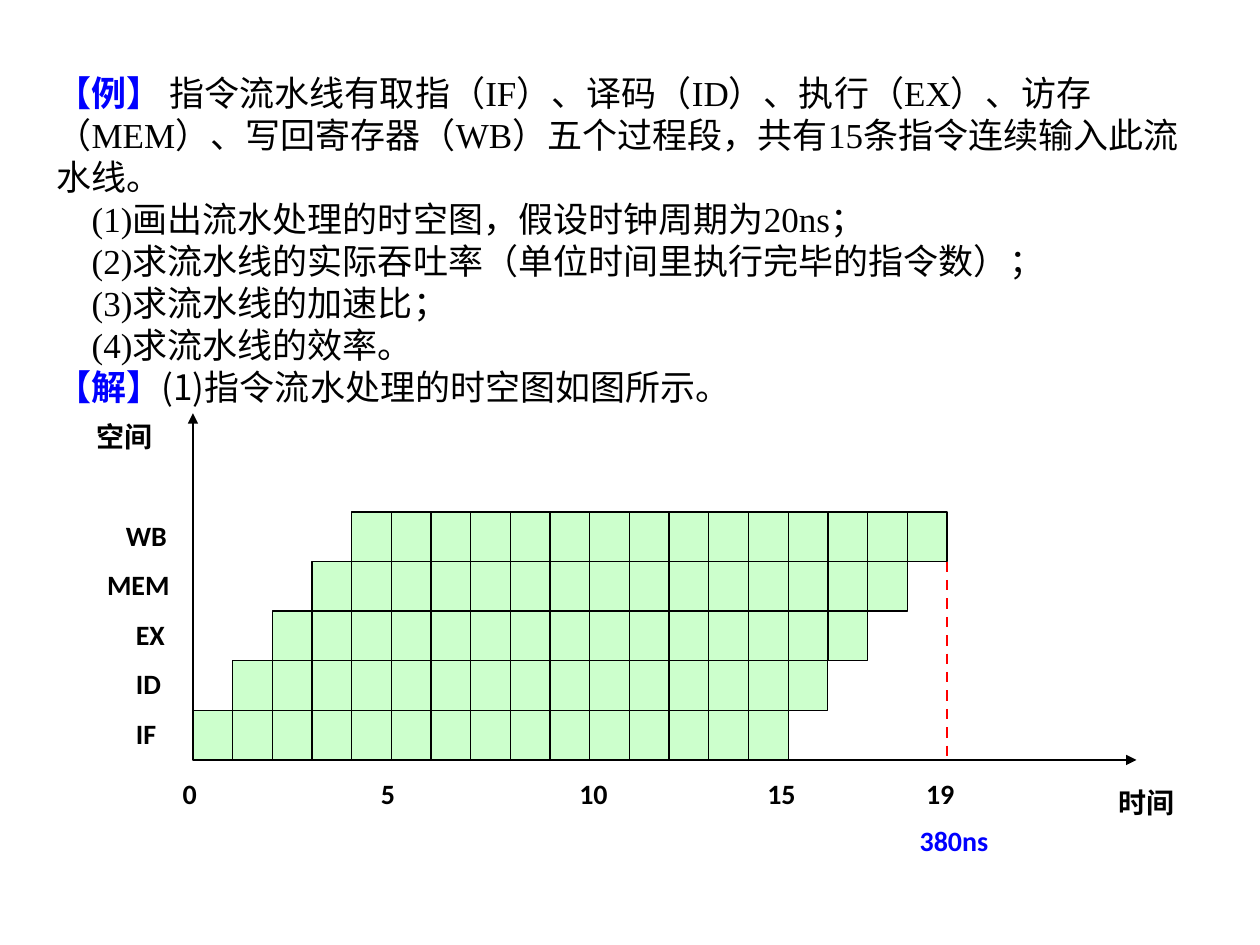
from dataclasses import dataclass

from lxml import etree
from pptx import Presentation
from pptx import util as u
from pptx.dml import color
from pptx.enum import dml, shapes, text
from pptx.oxml import ns


@dataclass(frozen=True)
class Theme:
    ink: str = "000000"
    accent: str = "0000FF"
    cell: str = "CCFFCC"
    marker: str = "FF0000"
    body_font: str = "Times New Roman"
    label_font: str = "Calibri"
    chinese_font: str = "Noto Sans CJK SC"
    body_size: int = 20
    label_size: int = 16


theme = Theme()
Cm = u.Cm


def add_text(page, place, paragraphs, size, line_spacing=None):
    box = page.shapes.add_textbox(*[Cm(value) for value in place])
    frame = box.text_frame
    frame.word_wrap = True
    frame.auto_size = text.MSO_AUTO_SIZE.SHAPE_TO_FIT_TEXT
    for index, (indent, gap, spans) in enumerate(paragraphs):
        para = frame.add_paragraph() if index else frame.paragraphs[0]
        layout = {"space_before": u.Pt(gap), "line_spacing": line_spacing}
        for name, value in layout.items():
            setattr(para, name, value)
        para._p.get_or_add_pPr().set("marL", str(Cm(indent)))
        for words, font, bold, ink in spans:
            span = para.add_run()
            span.text = words
            for name, value in {"name": font, "size": u.Pt(size), "bold": bold}.items():
                setattr(span.font, name, value)
            span.font.color.rgb = color.RGBColor.from_string(ink)
            latin = span.font._rPr.find(ns.qn("a:latin"))
            east_asian = etree.Element(ns.qn("a:ea"), typeface=theme.chinese_font)
            latin.addnext(east_asian)


def add_line(page, start, end, ink, width, arrow=False):
    line = page.shapes.add_connector(
        shapes.MSO_CONNECTOR.STRAIGHT, *[Cm(value) for value in (*start, *end)]
    )
    line.line.color.rgb = color.RGBColor.from_string(ink)
    line.line.width = u.Pt(width)
    if arrow:
        etree.SubElement(line.line._get_or_add_ln(), ns.qn("a:tailEnd"), type="triangle")
    etree.SubElement(line._element.spPr, ns.qn("a:effectLst"))
    return line


deck = Presentation()
deck.slide_width, deck.slide_height = Cm(25.4), Cm(19.05)
page = deck.slides.add_slide(deck.slide_layouts[6])

statement = (
    "指令流水线有取指（IF）、译码（ID）、执行（EX）、访存（MEM）、"
    "写回寄存器（WB）五个过程段，共有15条指令连续输入此流水线。"
)
questions = [
    "(1)画出流水处理的时空图，假设时钟周期为20ns；",
    "(2)求流水线的实际吞吐率（单位时间里执行完毕的指令数）；",
    "(3)求流水线的加速比；",
    "(4)求流水线的效率。",
]
answer = "(1)指令流水处理的时空图如图所示。"
body = [(0, 0, [
    ("【例】 ", theme.body_font, True, theme.accent),
    (statement, theme.body_font, False, theme.ink),
])]
for question in questions:
    body.append((0.71, 0, [(question, theme.body_font, False, theme.ink)]))
body.append((0, 0, [
    ("【解】", theme.chinese_font, True, theme.accent),
    (answer, theme.chinese_font, False, theme.ink),
]))
add_text(page, (0.89, 1.32, 23.39, 7.04), body, theme.body_size, u.Pt(24))

origin_x, origin_y = 3.89, 15.32
cycle, row_height = 0.8, 1
instructions = 15
origin = (origin_x, origin_y)
add_line(page, origin, (22.91, origin_y), theme.ink, 0.75, arrow=True)
add_line(page, origin, (origin_x, 8.33), theme.ink, 0.75, arrow=True)

for words, left, top in [("空间", 1.7, 8.33), ("时间", 22.3, 15.72)]:
    label = [(0, 0, [(words, theme.label_font, True, theme.ink)])]
    add_text(page, (left, top, 2.01, 0.94), label, theme.label_size)

stages = [("IF", 2.49), ("ID", 2.49), ("EX", 2.49), ("MEM", 1.91), ("WB", 2.29)]
for stage, (words, label_left) in enumerate(stages):
    top = origin_y - (stage + 1) * row_height
    label = [(0, 0, [(words, theme.label_font, True, theme.ink)])]
    add_text(page, (label_left, top, 2.01, 0.94), label, theme.label_size)
    row = page.shapes.add_group_shape()
    for instruction in range(instructions):
        left = origin_x + (stage + instruction) * cycle
        cell = row.shapes.add_shape(
            shapes.MSO_SHAPE.RECTANGLE, Cm(left), Cm(top), Cm(cycle), Cm(row_height)
        )
        cell.shadow.inherit = False
        cell.fill.solid()
        cell.fill.fore_color.rgb = color.RGBColor.from_string(theme.cell)
        cell.line.color.rgb = color.RGBColor.from_string(theme.ink)
        cell.line.width = u.Pt(0.75)

total_cycles = instructions + len(stages) - 1
finish_x = origin_x + total_cycles * cycle
finish_top = origin_y - (len(stages) - 1) * row_height
finish = add_line(page, (finish_x, finish_top), (finish_x, origin_y), theme.marker, 1.5)
finish.line.dash_style = dml.MSO_LINE.DASH

ticks = [(0, 3.3, 1.4), (5, 7.3, 1.4), (10, 11.3, 1.4), (15, 15.09, 1.4), (total_cycles, 18.29, 2.59)]
for tick, left, width in ticks:
    label = [(0.13, 0, [(str(tick), theme.label_font, True, theme.ink)])]
    height = 0.94
    if tick == total_cycles:
        label.append((0, 8, [("380ns", theme.label_font, True, theme.accent)]))
        height = 1.96
    add_text(page, (left, 15.52, width, height), label, theme.label_size)

deck.save("out.pptx")
